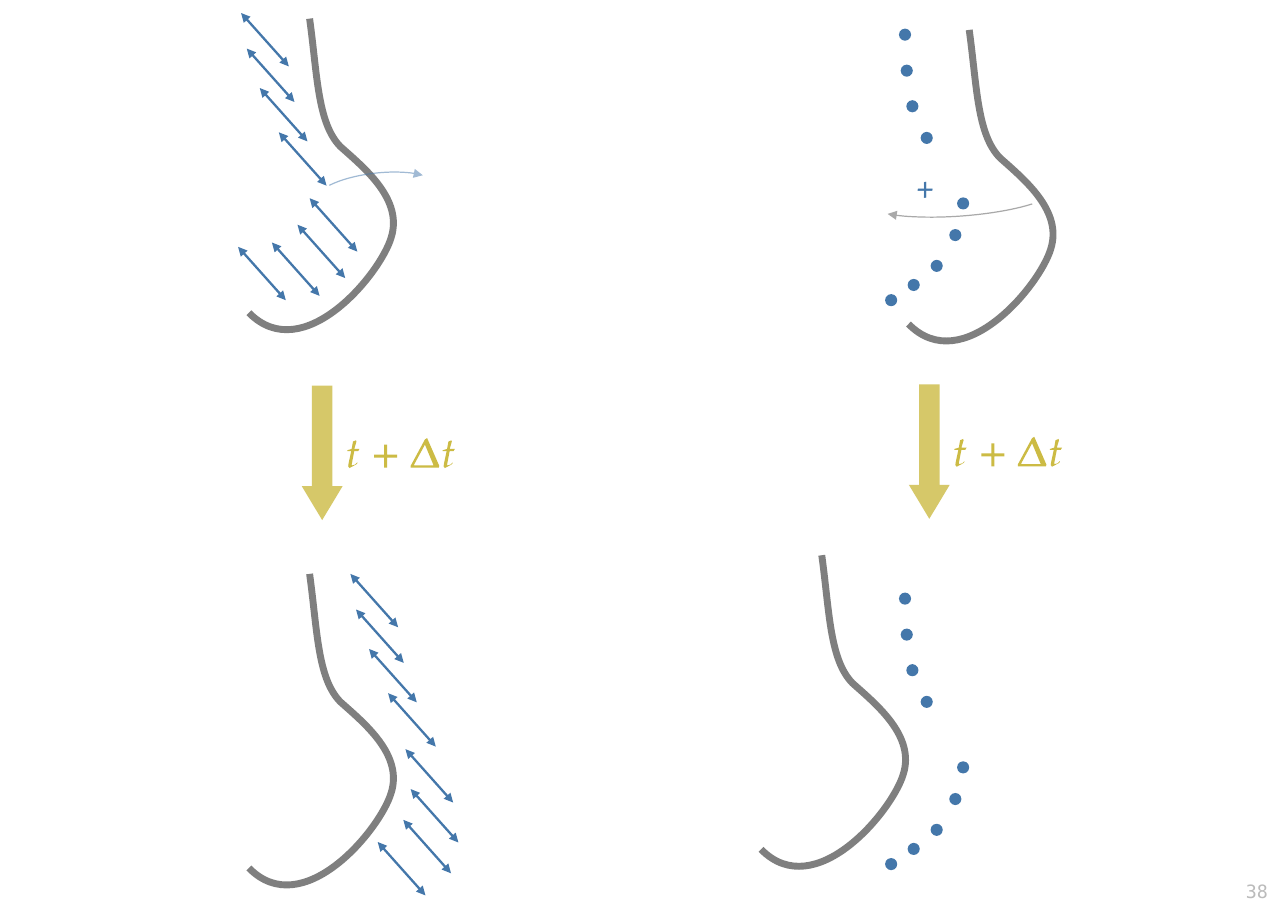
from dataclasses import dataclass
from lxml.etree import SubElement
from pptx import Presentation
from pptx.dml.color import RGBColor
from pptx.enum.shapes import MSO_CONNECTOR, MSO_SHAPE
from pptx.enum.text import PP_ALIGN
from pptx.oxml.ns import qn
from pptx.util import Cm, Pt


@dataclass(frozen=True)
class Theme:
    """Colours, fonts and sizes of the slide."""
    blue: str = "4477AA"
    grey: str = "555555"
    gold: str = "CCBB44"
    pale: str = "BBBBBB"
    serif: str = "Vollkorn"
    mono: str = "DejaVu Sans Mono"
    small: float = 12
    sign: float = 21
    thin: float = 0.79
    line: float = 1.5
    bold: float = 4.5


class Sketch:
    """Draws the elements of one slide in a given theme."""

    def __init__(self, slide, theme):
        self.shapes = slide.shapes
        self.theme = theme

    def fade(self, shape, alpha):
        for tone in shape.element.spPr.iter(qn("a:srgbClr")):
            SubElement(tone, qn("a:alpha"), val=str(alpha * 1000))

    def stroke(self, shape, color, width, ends=()):
        shape.line.color.rgb = RGBColor.from_string(color)
        shape.line.width = Pt(width)
        ln = shape.element.spPr.find(qn("a:ln"))
        for end in ends:
            SubElement(ln, qn(f"a:{end}"), type="triangle")

    def paint(self, shape, color):
        shape.shadow.inherit = False
        shape.fill.solid()
        shape.fill.fore_color.rgb = RGBColor.from_string(color)
        shape.line.fill.background()

    def solid(self, kind, x, y, w, h, color):
        shape = self.shapes.add_shape(kind, Cm(x), Cm(y), Cm(w), Cm(h))
        self.paint(shape, color)
        return shape

    def outline(self, x, y, rings, close=True):
        rings = [[(Cm(x + dx), Cm(y + dy)) for dx, dy in ring] for ring in rings]
        pen = self.shapes.build_freeform(*rings[0][0])
        for count, ring in enumerate(rings):
            if count:
                pen.move_to(*ring[0])
            pen.add_line_segments(ring[1:], close=close)
        return pen.convert_to_shape()

    def wall(self, x, y):
        shape = self.outline(x, y, [BEND], close=False)
        shape.shadow.inherit = False
        shape.fill.background()
        self.stroke(shape, self.theme.grey, self.theme.bold)
        self.fade(shape, 75)
        shape.width, shape.height = Cm(3.33), Cm(7.19)
        track = next(shape.element.iter(qn("a:path")))
        track.set("w", str(shape.width))
        track.set("h", str(shape.height))
        steps = track.findall(qn("a:lnTo"))
        for start in range(0, len(steps), 3):
            curve = SubElement(track, qn("a:cubicBezTo"))
            for step in steps[start:start + 3]:
                curve.append(step[0])
                track.remove(step)

    def beam(self, x, y):
        line = self.shapes.add_connector(
            MSO_CONNECTOR.STRAIGHT, Cm(x + 1.1), Cm(y + 1.23), Cm(x), Cm(y))
        self.stroke(line, self.theme.blue, self.theme.line, ("headEnd", "tailEnd"))
        SubElement(line.element.spPr, qn("a:effectLst"))

    def dot(self, x, y):
        self.solid(MSO_SHAPE.OVAL, x, y, 0.28, 0.28, self.theme.blue)

    def arc(self, x, y, w, turn, span, color):
        shape = self.shapes.add_shape(MSO_SHAPE.ARC, Cm(x), Cm(y), Cm(w), Cm(0.94))
        shape.shadow.inherit = False
        shape.rotation = turn
        shape.adjustments[0], shape.adjustments[1] = span
        shape.fill.background()
        self.stroke(shape, color, self.theme.thin, ("tailEnd",))
        self.fade(shape, 50)

    def text(self, x, y, w, h, words, font, size, color, bold=False, align=PP_ALIGN.LEFT):
        frame = self.shapes.add_textbox(Cm(x), Cm(y), Cm(w), Cm(h)).text_frame
        frame.word_wrap = False
        para = frame.paragraphs[0]
        para.alignment = align
        run = para.add_run()
        run.text = words
        run.font.name, run.font.size, run.font.bold = font, Pt(size), bold
        run.font.color.rgb = RGBColor.from_string(color)

    def step(self, x, y):
        shape = self.solid(MSO_SHAPE.DOWN_ARROW, x, y, 0.94, 3.1, self.theme.gold)
        shape.adjustments[0], shape.adjustments[1] = 0.5, 0.83
        self.fade(shape, 80)
        for dx, dy, rings in TERM:
            glyph = self.outline(x + 1.05 + dx, y + 1.21 + dy, rings)
            self.paint(glyph, self.theme.gold)


BEND = [(0, 0), (0.18, 1.3), (0.18, 2.41), (0.71, 2.95),
        (1.27, 3.45), (2.16, 4.17), (1.88, 5.05),
        (1.63, 5.89), (-0.15, 8.05), (-1.4, 6.78)]
TIME = [[(0.23, 0.53), (0.23, 0.51), (0.18, 0.56), (0.11, 0.58), (0.1, 0.56),
         (0.15, 0.3), (0.16, 0.25), (0.25, 0.25), (0.28, 0.2), (0.16, 0.2),
         (0.21, 0.03), (0.2, 0), (0.13, 0.03), (0.1, 0.2), (0, 0.23), (0, 0.25),
         (0.09, 0.25), (0.03, 0.53), (0.02, 0.6), (0.05, 0.64), (0.2, 0.56)]]
PLUS = [[(0, 0.23), (0.23, 0.23), (0.23, 0), (0.3, 0), (0.3, 0.23), (0.53, 0.23),
         (0.53, 0.3), (0.3, 0.3), (0.3, 0.53), (0.23, 0.53), (0.23, 0.3), (0, 0.3)]]
DELTA = [[(0.33, 0.03), (0, 0.64), (0, 0.68), (0.65, 0.68), (0.66, 0.64), (0.38, 0)],
         [(0.53, 0.63), (0.08, 0.63), (0.08, 0.61), (0.33, 0.15)]]
TERM = [(0, 0.05, TIME), (0.62, 0.15, PLUS), (1.46, 0, DELTA), (2.2, 0.05, TIME)]
WALLS = [(7.14, 0.43), (7.14, 13.23), (22.35, 0.69), (18.95, 12.8)]
UPPER = [(5.56, 0.3), (5.69, 1.12), (5.99, 2.03), (6.43, 3.05)]
INNER = [(7.14, 4.57), (6.86, 5.18), (6.27, 5.59), (5.49, 5.69)]
OUTER = [(9.35, 17.27), (9.47, 18.19), (9.3, 18.9), (8.71, 19.41)]
DOTS = [(20.73, 0.66), (20.77, 1.49), (20.9, 2.31), (21.23, 3.04), (22.07, 4.55),
        (21.89, 5.28), (21.46, 5.99), (20.93, 6.43), (20.41, 6.78)]


def main():
    deck = Presentation()
    deck.slide_width, deck.slide_height = Cm(29.7), Cm(21)
    look = Theme()
    art = Sketch(deck.slides.add_slide(deck.slide_layouts[6]), look)
    art.text(26.95, 20.17, 2.54, 0.74, "38", look.mono, look.small, look.pale,
             align=PP_ALIGN.RIGHT)
    for spot in WALLS:
        art.wall(*spot)
    moved = [(x + 2.52, y + 12.93) for x, y in UPPER]
    for spot in UPPER + INNER + moved + OUTER:
        art.beam(*spot)
    for x, y in DOTS:
        for drop in (0, 13):
            art.dot(x, y + drop)
    art.step(6.96, 8.89)
    art.step(20.96, 8.86)
    art.arc(7.26, 3.99, 2.84, 173.3, (9.93, 99.12), look.blue)
    art.arc(19.96, 4.04, 4.39, 355.7, (6.57, 102.15), look.grey)
    art.text(20.88, 3.71, 0.94, 1.27, "+", look.serif, look.sign, look.blue, bold=True)
    deck.save("out.pptx")


if __name__ == "__main__":
    main()
